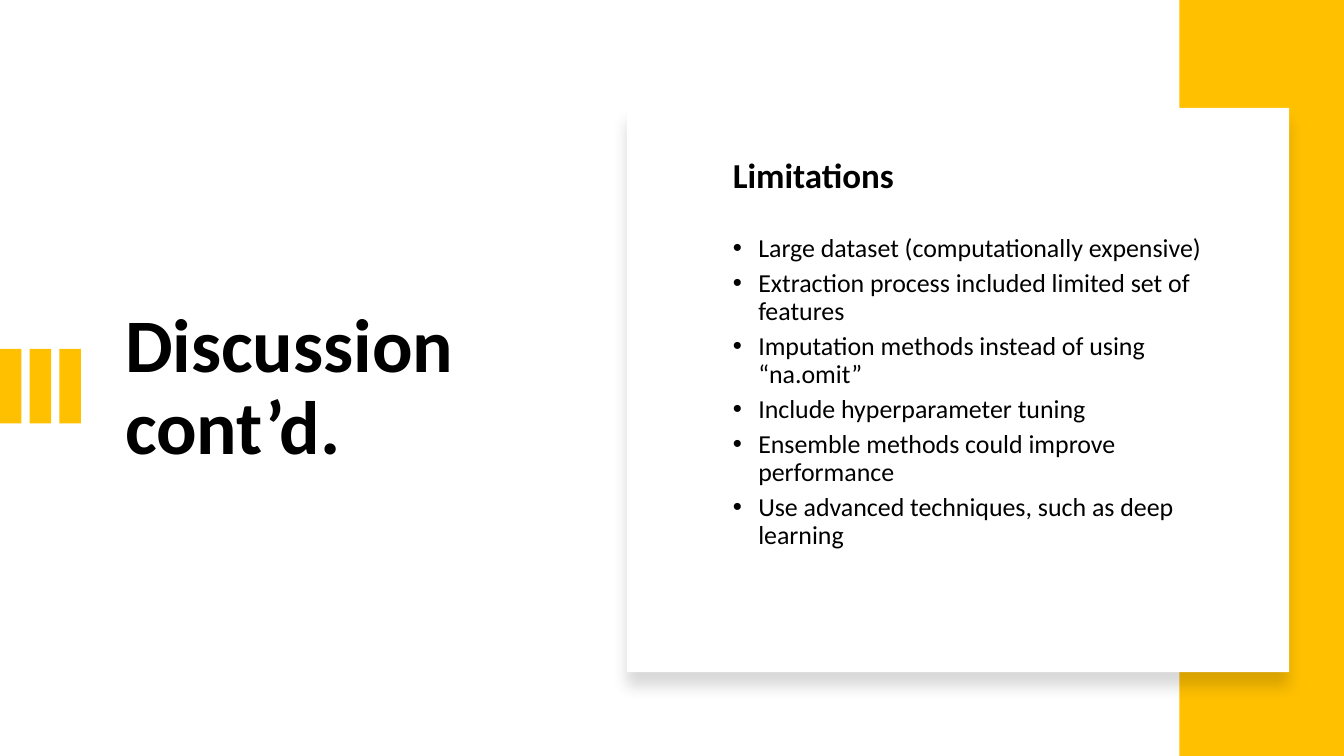
import lxml.etree
import pptx
import pptx.dml.color
import pptx.enum.shapes
import pptx.enum.text
import pptx.oxml
import pptx.oxml.ns
import pptx.util

Cm = pptx.util.Cm
Pt = pptx.util.Pt
BLACK = pptx.dml.color.RGBColor(0x00, 0x00, 0x00)
WHITE = pptx.dml.color.RGBColor(0xFF, 0xFF, 0xFF)
GOLD = pptx.dml.color.RGBColor(0xFF, 0xC0, 0x00)

LIMITATIONS = [
    "Large dataset (computationally expensive)",
    "Extraction process included limited set of features",
    "Imputation methods instead of using “na.omit”",
    "Include hyperparameter tuning",
    "Ensemble methods could improve performance",
    "Use advanced techniques, such as deep learning",
]


def add_rectangle(shapes, left, top, width, height, color):
    shape = shapes.add_shape(
        pptx.enum.shapes.MSO_SHAPE.RECTANGLE, Cm(left), Cm(top), Cm(width), Cm(height)
    )
    shape.shadow.inherit = False
    shape.fill.solid()
    shape.fill.fore_color.rgb = color
    shape.line.fill.background()
    return shape


def write_text(paragraph, text, size, bold=False, space_before=0, bullet=False):
    if bullet:
        properties = paragraph._p.get_or_add_pPr()
        properties.set("marL", str(Cm(0.64)))
        properties.set("indent", str(-Cm(0.64)))
        for tag, name, value in (("a:buFont", "typeface", "Arial"), ("a:buChar", "char", "•")):
            element = lxml.etree.SubElement(properties, pptx.oxml.ns.qn(tag))
            element.set(name, value)
    paragraph.text = text
    paragraph.alignment = pptx.enum.text.PP_ALIGN.LEFT
    paragraph.line_spacing = 0.9
    paragraph.space_before = Pt(space_before)
    paragraph.font.name = "Calibri"
    paragraph.font.size = Pt(size)
    paragraph.font.bold = bold
    paragraph.font.color.rgb = BLACK


presentation = pptx.Presentation()
presentation.slide_width = Cm(33.87)
presentation.slide_height = Cm(19.05)
slide = presentation.slides.add_slide(presentation.slide_layouts[5])

# Title
title = slide.shapes.title
title.left, title.top, title.width, title.height = Cm(2.9), Cm(3.71), Cm(10.82), Cm(12.17)
title.text_frame.word_wrap = True
title.text_frame.auto_size = pptx.enum.text.MSO_AUTO_SIZE.NONE
title.text_frame.vertical_anchor = pptx.enum.text.MSO_ANCHOR.MIDDLE
write_text(title.text_frame.paragraphs[0], "Discussion cont’d.", size=54, bold=True)

# Gold accents
accent_bars = slide.shapes.add_group_shape()
for index in range(3):
    add_rectangle(accent_bars.shapes, 0.75 * index, 8.79, 0.54, 1.88, GOLD)
add_rectangle(slide.shapes, 29.72, 0, 4.15, 19.05, GOLD)

# White panel with a soft shadow below it
panel = add_rectangle(slide.shapes, 15.8, 2.72, 16.69, 14.22, WHITE)
effects = panel._element.spPr.find(pptx.oxml.ns.qn("a:effectLst"))
effects.append(pptx.oxml.parse_xml(
    f'<a:outerShdw {pptx.oxml.ns.nsdecls("a")} blurRad="{Pt(11)}" dist="{Pt(10)}" '
    'dir="5400000" algn="t" rotWithShape="0">'
    '<a:srgbClr val="000000"><a:alpha val="15000"/></a:srgbClr></a:outerShdw>'
))

# Limitations
body = slide.shapes.add_textbox(Cm(18.47), Cm(3.98), Cm(12.83), Cm(10.6))
frame = body.text_frame
frame.word_wrap = True
frame.margin_left = frame.margin_right = frame.margin_top = frame.margin_bottom = 0
frame.vertical_anchor = pptx.enum.text.MSO_ANCHOR.TOP
write_text(frame.paragraphs[0], "Limitations", size=25, bold=True)
for index, limitation in enumerate(LIMITATIONS):
    write_text(
        frame.add_paragraph(), limitation, size=18.5,
        space_before=5 if index else 28, bullet=True,
    )

presentation.save("out.pptx")
